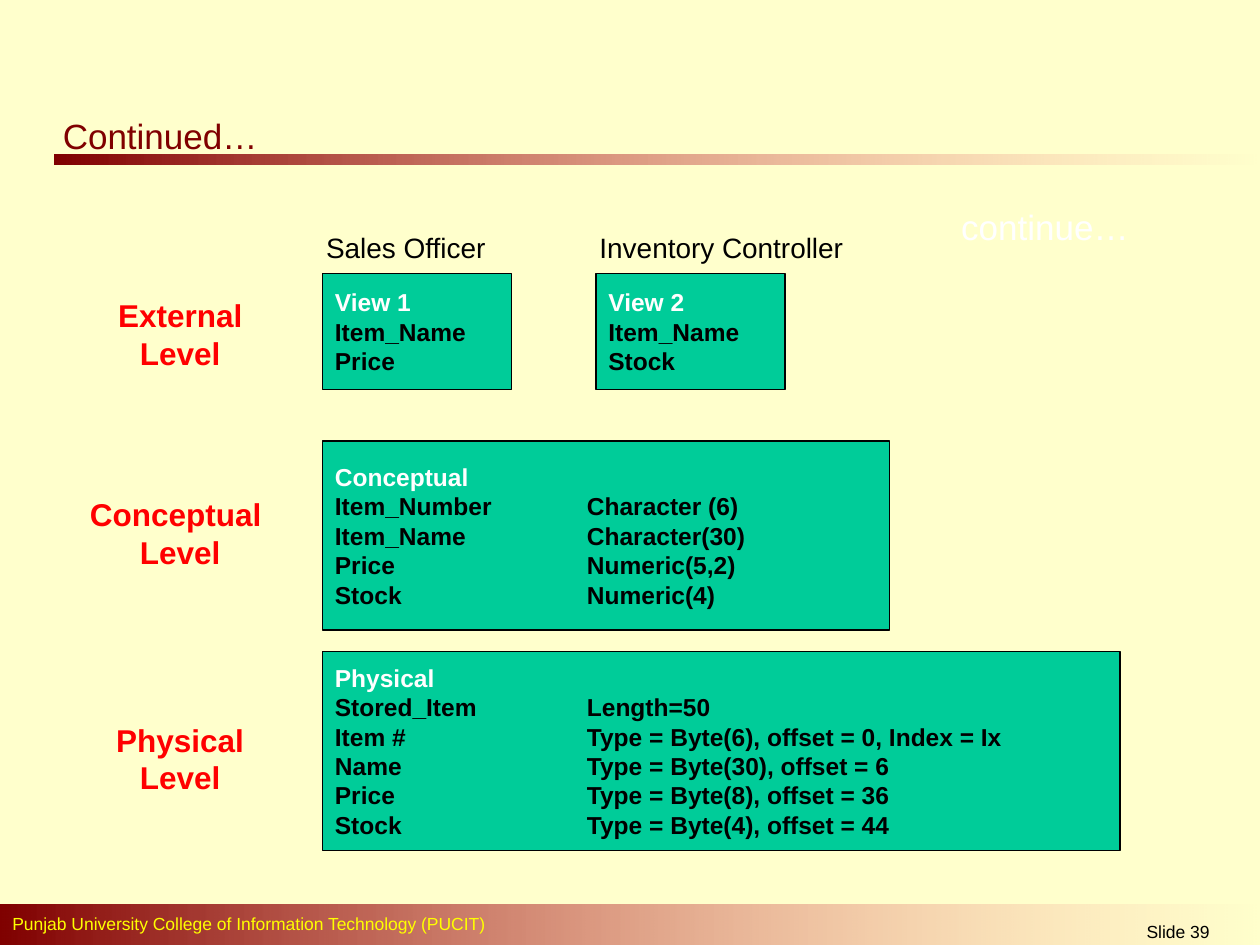
import pptx
import pptx.util
import pptx.dml.color
import pptx.enum.shapes
import pptx.enum.text
import pptx.oxml
import pptx.oxml.ns

Inch = pptx.util.Inches
Align = pptx.enum.text.PP_ALIGN
Anchor = pptx.enum.text.MSO_ANCHOR
RECT = pptx.enum.shapes.MSO_SHAPE.RECTANGLE

WIDE, HIGH = 10, 7.5
LEFT, STEP, TAB = 2.56, 2.17, 2
MAROON, PINK, RED, GREEN = "800000", "FF8585", "FF0000", "00CC99"
BLACK, WHITE, YELLOW, CREAM = "000000", "FFFFFF", "FFFF00", "FFFFCC"

BARS = [(0.43, 1.23, 9.57, 0.08), (0, 7.18, WIDE, 0.35)]

BOXES = [
    (0, 2.17, 1.5, 0.92, ["View 1", "Item_Name", "Price"]),
    (1, 2.17, 1.5, 0.92, ["View 2", "Item_Name", "Stock"]),
    (0, 3.5, 4.5, 1.5, [
        "Conceptual",
        "Item_Number\tCharacter (6)",
        "Item_Name\tCharacter(30)",
        "Price\tNumeric(5,2)",
        "Stock\tNumeric(4)",
    ]),
    (0, 5.17, 6.33, 1.58, [
        "Physical",
        "Stored_Item\tLength=50",
        "Item #\tType = Byte(6), offset = 0, Index = Ix",
        "Name\tType = Byte(30), offset = 6",
        "Price\tType = Byte(8), offset = 36",
        "Stock\tType = Byte(4), offset = 44",
    ]),
]

MID = 1.43
LEVELS = [
    (2.3, 1.32, "External\nLevel"),
    (3.88, 1.64, "Conceptual \nLevel"),
    (5.67, 1.36, "Physical\nLevel"),
]
ROLES = [(0, 1.6, "Sales Officer"), (1, 2.3, "Inventory Controller")]
FOOT = "Punjab University College of Information Technology (PUCIT)"


def color(code):
    return pptx.dml.color.RGBColor.from_string(code)


def style(para, size, code, bold=False, align=Align.LEFT):
    para.alignment = align
    for run in para.runs:
        font = run.font
        font.name, font.size, font.bold = "Arial", pptx.util.Pt(size), bold
        font.color.rgb = color(code)


def add_text(slide, place, text, size, code, bold=False, align=Align.LEFT,
             anchor=Anchor.TOP):
    box = slide.shapes.add_textbox(*map(Inch, place))
    frame = box.text_frame
    frame.word_wrap = True
    frame.vertical_anchor = anchor
    frame.text = text
    for para in frame.paragraphs:
        style(para, size, code, bold, align)


def add_rect(slide, place):
    rect = slide.shapes.add_shape(RECT, *map(Inch, place))
    rect.shadow.inherit = False
    return rect


def add_bar(slide, place):
    bar = add_rect(slide, place)
    bar.line.fill.background()
    bar.fill.gradient()
    bar.fill.gradient_angle = 0
    for stop, code in zip(bar.fill.gradient_stops, (MAROON, PINK)):
        stop.color.rgb = color(code)
    tint = bar.element.findall(".//" + pptx.oxml.ns.qn("a:srgbClr"))[-1]
    tint.append(pptx.oxml.parse_xml(
        f'<a:alpha {pptx.oxml.ns.nsdecls("a")} val="0"/>'))


def add_tab(para):
    para._p.get_or_add_pPr().append(pptx.oxml.parse_xml(
        f'<a:tabLst {pptx.oxml.ns.nsdecls("a")}>'
        f'<a:tab pos="{Inch(TAB)}" algn="l"/></a:tabLst>'))


def add_box(slide, place, lines):
    box = add_rect(slide, place)
    box.fill.solid()
    box.fill.fore_color.rgb = color(GREEN)
    box.line.color.rgb = color(BLACK)
    box.line.width = pptx.util.Pt(0.75)
    frame = box.text_frame
    frame.word_wrap = True
    frame.vertical_anchor = Anchor.MIDDLE
    frame.text = "\n".join(lines)
    for row, para in enumerate(frame.paragraphs):
        add_tab(para)
        style(para, 14, BLACK if row else WHITE, True)


def main():
    deck = pptx.Presentation()
    deck.slide_width, deck.slide_height = Inch(WIDE), Inch(HIGH)
    slide = deck.slides.add_slide(deck.slide_layouts[6])
    slide.background.fill.solid()
    slide.background.fill.fore_color.rgb = color(CREAM)

    for place in BARS:
        add_bar(slide, place)
    add_text(slide, (0, 7.2, 4.2, 0.27), FOOT, 10, YELLOW)
    add_text(slide, (8.7, 7.26, 1.3, 0.24), "Slide 39", 10, BLACK,
             align=Align.CENTER)
    add_text(slide, (0.4, 0.76, 1.93, 0.63), "Continued…", 20, MAROON,
             anchor=Anchor.MIDDLE)
    add_text(slide, (7.53, 1.58, 1.8, 0.43), "continue…", 20, WHITE)

    for col, top, wide, high, lines in BOXES:
        add_box(slide, (LEFT + col * STEP, top, wide, high), lines)
    for top, wide, text in LEVELS:
        add_text(slide, (MID - wide / 2, top, wide, 0.7), text, 18, RED,
                 True, Align.CENTER)
    for col, wide, text in ROLES:
        add_text(slide, (LEFT - 0.07 + col * STEP, 1.78, wide, 0.37), text,
                 16, BLACK)
    deck.save("out.pptx")


if __name__ == "__main__":
    main()
